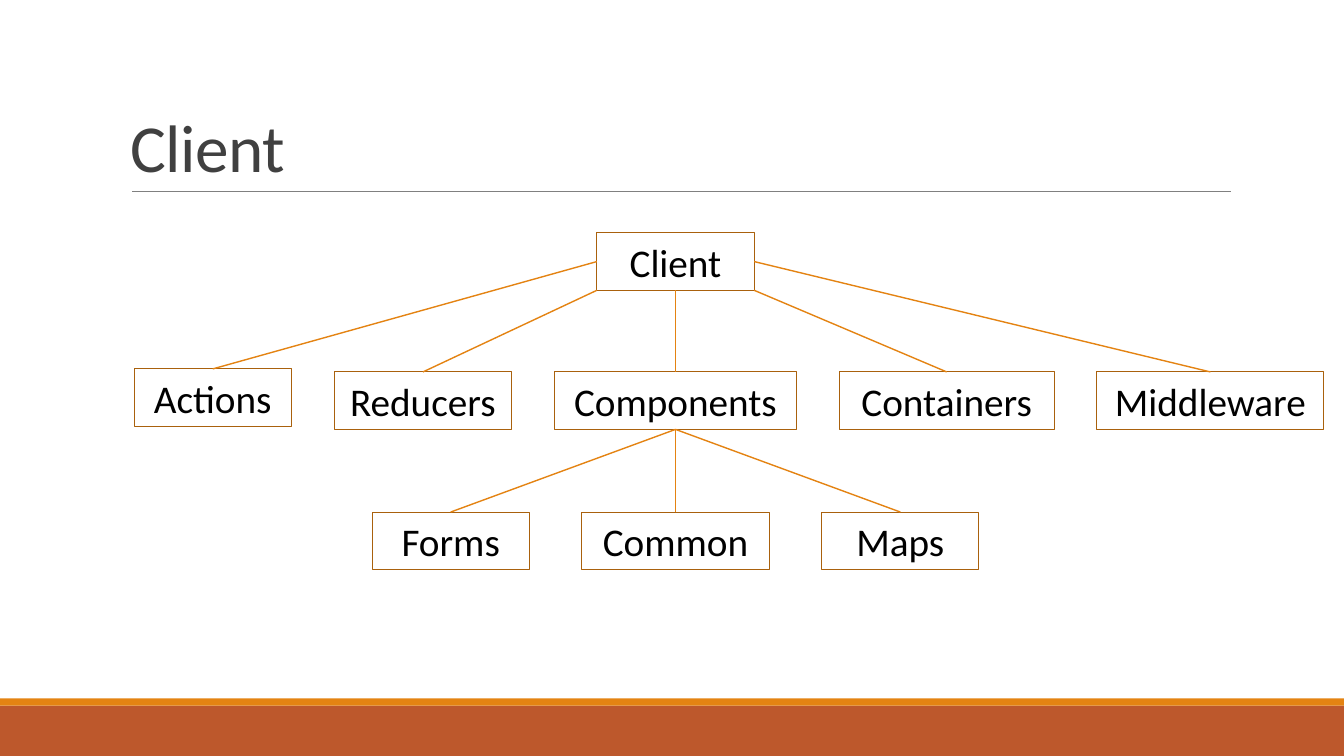
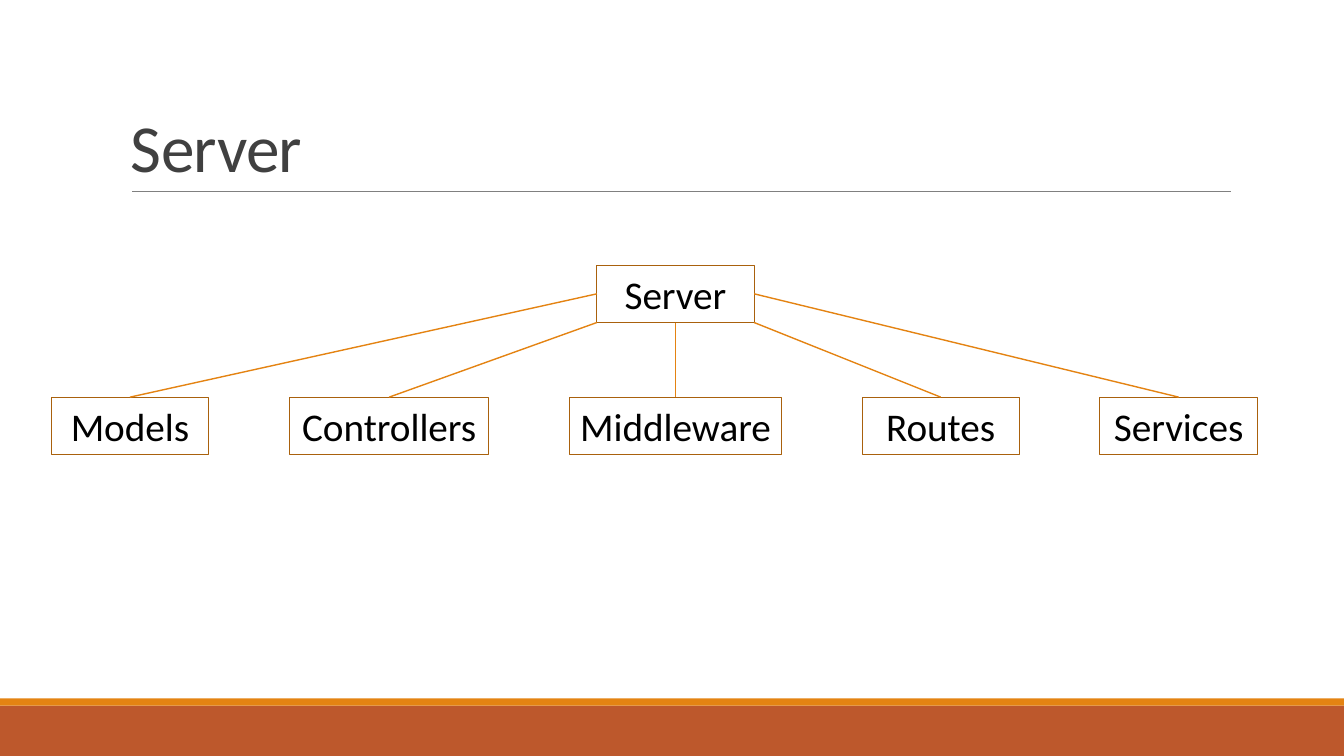
from lxml import etree
from pptx import Presentation
from pptx.dml.color import RGBColor
from pptx.enum.shapes import MSO_CONNECTOR, MSO_SHAPE
from pptx.enum.text import MSO_ANCHOR, MSO_AUTO_SIZE, PP_ALIGN
from pptx.oxml.ns import qn
from pptx.util import Inches, Pt

RECTANGLE = MSO_SHAPE.RECTANGLE
STRAIGHT = MSO_CONNECTOR.STRAIGHT
BOTTOM, MIDDLE = MSO_ANCHOR.BOTTOM, MSO_ANCHOR.MIDDLE
FIT_SHAPE = MSO_AUTO_SIZE.SHAPE_TO_FIT_TEXT
CENTER = PP_ALIGN.CENTER
TOP_SITE = 0

FONT = "Calibri"
COLORS = {
    "band": "BD582C",
    "accent": "E48312",
    "border": "A9610D",
    "rule": "808080",
    "title": "404040",
    "text": "000000",
}
SLIDE_WIDTH, SLIDE_HEIGHT = 13.33, 7.5
BOX_HEIGHT = 0.57
NARROW = 1.56

# Each row spreads its (label, width) boxes with equal gaps from left to right.
# "starts" says where on the parent box each line begins, as fractions of its size.
FIVE_STARTS = [(0, 0.5), (0, 1), (0.5, 1), (1, 1), (1, 0.5)]
THREE_STARTS = [(0.5, 1)] * 3
SLIDES = [
    {
        "title": "Client",
        "root_top": 2.31,
        "rows": [
            {
                "parent": "Client", "left": 1.33, "right": 13.13, "top": 3.69,
                "starts": FIVE_STARTS, "raised": {"Actions": 0.03},
                "boxes": [("Actions", NARROW), ("Reducers", 1.76), ("Components", 2.4),
                          ("Containers", 2.13), ("Middleware", 2.25)],
            },
            {
                "parent": "Components", "left": 3.69, "right": 9.71, "top": 5.08,
                "starts": THREE_STARTS, "raised": {},
                "boxes": [("Forms", NARROW), ("Common", 1.86), ("Maps", NARROW)],
            },
        ],
    },
    {
        "title": "Server",
        "root_top": 2.63,
        "rows": [
            {
                "parent": "Server", "left": 0.51, "right": 12.47, "top": 3.94,
                "starts": FIVE_STARTS, "raised": {},
                "boxes": [("Models", NARROW), ("Controllers", 1.98), ("Middleware", 2.1),
                          ("Routes", NARROW), ("Services", NARROW)],
            },
        ],
    },
]


def color(name):
    return RGBColor.from_string(COLORS[name])


def add_line(slide, start, end, color_name, width):
    """Draw a shadowless line between two points given in EMU."""
    line = slide.shapes.add_connector(STRAIGHT, *start, *end)
    line.line.color.rgb = color(color_name)
    line.line.width = Pt(width)
    etree.SubElement(line._element.spPr, qn("a:effectLst"))
    return line


def add_text(slide, text, position, size, color_name, anchor):
    shape = slide.shapes.add_textbox(*map(Inches, position))
    frame = shape.text_frame
    frame.word_wrap = True
    frame.vertical_anchor = anchor
    run = frame.paragraphs[0].add_run()
    run.text = text
    run.font.name = FONT
    run.font.size = Pt(size)
    run.font.color.rgb = color(color_name)
    return shape


def add_frame(slide, title):
    """Add what every slide shares: bottom bands, rule and title."""
    for top, height, name in [(7, 0.5, "band"), (6.93, 0.07, "accent")]:
        band = slide.shapes.add_shape(
            RECTANGLE, 0, Inches(top), Inches(SLIDE_WIDTH), Inches(height))
        band.shadow.inherit = False
        band.fill.solid()
        band.fill.fore_color.rgb = color(name)
        band.line.fill.background()
    add_line(slide, (Inches(1.31), Inches(1.9)), (Inches(12.21), Inches(1.9)), "rule", 0.5)
    shape = add_text(slide, title, (1.2, 0.31, 11, 1.59), 48, "title", BOTTOM)
    paragraph = shape.text_frame.paragraphs[0]
    paragraph.line_spacing = 0.85
    paragraph.runs[0]._r.get_or_add_rPr().set("spc", "-50")


def add_box(slide, label, left, top, width):
    box = add_text(slide, label, (left, top, width, BOX_HEIGHT), 28, "text", MIDDLE)
    box.text_frame.auto_size = FIT_SHAPE
    box.text_frame.paragraphs[0].alignment = CENTER
    box.line.color.rgb = color("border")
    box.line.width = Pt(0.75)
    return box


def add_row(slide, row, boxes):
    """Add one row of boxes and join each to the parent box."""
    widths = [width for _, width in row["boxes"]]
    gap = (row["right"] - row["left"] - sum(widths)) / (len(widths) - 1)
    parent = boxes[row["parent"]]
    left = row["left"]
    for (label, width), (across, down) in zip(row["boxes"], row["starts"]):
        box = add_box(slide, label, left, row["top"] - row["raised"].get(label, 0), width)
        start = (int(parent.left + across * parent.width),
                 int(parent.top + down * parent.height))
        end = (box.left + box.width // 2, box.top)
        add_line(slide, start, end, "accent", 1).end_connect(box, TOP_SITE)
        boxes[label] = box
        left += width + gap


def main():
    presentation = Presentation()
    presentation.slide_width = Inches(SLIDE_WIDTH)
    presentation.slide_height = Inches(SLIDE_HEIGHT)
    blank = presentation.slide_layouts[6]
    for content in SLIDES:
        slide = presentation.slides.add_slide(blank)
        title = content["title"]
        add_frame(slide, title)
        boxes = {title: add_box(slide, title, 5.92, content["root_top"], NARROW)}
        for row in content["rows"]:
            add_row(slide, row, boxes)
    presentation.save("out.pptx")


if __name__ == "__main__":
    main()
